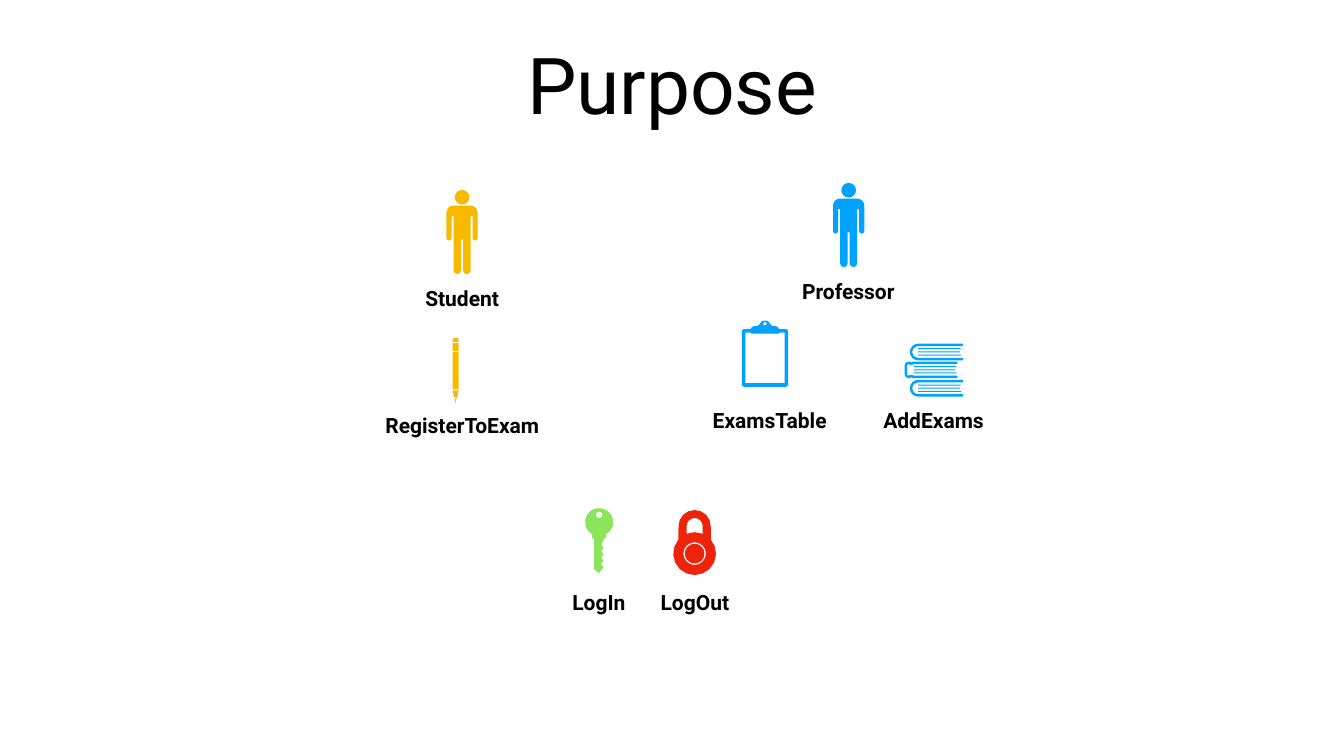
from math import cos, radians, sin

from pptx import Presentation
from pptx.dml.color import RGBColor
from pptx.enum.text import MSO_ANCHOR, PP_ALIGN
from pptx.util import Pt

BLACK = RGBColor(0x00, 0x00, 0x00)
GOLD = RGBColor(0xF7, 0xBA, 0x01)
BLUE = RGBColor(0x00, 0xA2, 0xFF)
GREEN = RGBColor(0x8B, 0xE5, 0x5B)
RED = RGBColor(0xEE, 0x23, 0x0C)


# Outline helpers: an icon is a list of loops on a grid of 0.72 pt
def arc(x, y, r, start, end):
    steps = max(2, round(abs(end - start) / (45 if r < 10 else 22.5)))
    turns = [radians(start + (end - start) * i / steps) for i in range(steps + 1)]
    return [(x + r * cos(a), y + r * sin(a)) for a in turns]


def ring(x, y, r):
    return arc(x, y, r, 0, 360)[:-1]


def box(left, top, right, low):
    return [(left, top), (right, top), (right, low), (left, low)]


def mirror(half, mid):
    return half + [(2 * mid - x, y) for x, y in reversed(half) if x != mid]


def shift(loop, dy):
    return [(x, y + dy) for x, y in loop]


# Icons
def man():
    half = [(31, 31), *arc(14, 45, 14, 270, 180), *arc(5, 95.5, 5, 180, 0),
            (10, 52), (14, 52), *arc(21.5, 159.5, 7.5, 180, 0), (29, 98)]
    return [ring(31, 14.5, 14.5), mirror(half, 31)]


def key():
    teeth = [p for y in (118, 105, 92, 79)
             for p in ((33, y + 4), (37, y), (33, y - 5))]
    blade = [(14, 60), (18, 60), (18, 122), (28, 129), *teeth,
             (33, 70), (37, 64), (37, 60), (41, 60)]
    return [arc(28, 28, 28, 421, 119) + blade, ring(28, 13.5, 6.5)]


def lock():
    x, y, r = 42.5, 86.5, 42.5
    case = arc(x, 32, 32, 180, 360) + arc(x, y, r, -41, 221)
    gap = arc(x, 32, 16, 180, 360) + arc(x, y, r, -68, -112)
    return [case, gap, ring(x, y, 22.5), ring(x, y, 19.5)]


def board():
    edge = [(46, 0), (40, 1), (37, 5), (34, 9), (30, 11), (25, 11), (20, 13),
            (18, 17), *arc(4.5, 21.5, 4.5, 270, 180), *arc(4.5, 127, 4.5, 180, 90)]
    page = [(46, 26), (18, 26), (18, 24), (7, 24), (7, 124)]
    return [mirror(edge, 46), ring(46, 6.5, 3.5), mirror(page, 46)]


def books():
    def lines(left):
        return [box(left, y, left + w, y + 2)
                for y, w in ((9, 84.5), (15.25, 83), (21.5, 85.5))]

    outer = [*arc(27, 16.5, 16.5, 270, 90), (116, 33), (116, 28),
             *arc(27, 16.5, 11.5, 90, 270), (116, 5), (116, 0)]
    mid = [(105, 0), (16, 0), (13, 2), (10, 0),
           *arc(8, 8, 8, 270, 180), *arc(8, 25, 8, 180, 90),
           (10, 33), (13, 31), (16, 33), (105, 33),
           (105, 28), (18, 28), (15, 26.5), (11, 26.5),
           *arc(8, 25, 3, 90, 180), *arc(8, 8, 3, 180, 270),
           (11, 6.5), (15, 6.5), (18, 5), (105, 5)]
    wide = [outer, *lines(27)]
    slim = [mid, *lines(18)]
    return [shift(loop, dy) for part, dy in ((wide, 0), (slim, 35.5), (wide, 72))
            for loop in part]


def pencil():
    cap = [(0, 8), *arc(3, 3, 3, 180, 270)]
    shaft = [(0, 27), (0, 102), (1.5, 101), (3, 102), (4.5, 101)]
    tip = [(6, 103), (4.5, 104.5), (3, 104.5), (1.5, 103), (0, 104), (3, 118)]
    return [mirror(cap, 6), box(0, 10, 12, 25), mirror(shaft, 6),
            mirror(tip, 6), [(4, 120), (8, 120), (6, 129)]]


class Deck:
    font = "Roboto"
    inset = Pt(4)
    fine = 100  # steps per grid unit
    scale = Pt(0.72) / fine

    def __init__(self, wide, high):
        self.prs = Presentation()
        self.prs.slide_width, self.prs.slide_height = Pt(wide), Pt(high)
        self.slide = self.prs.slides.add_slide(self.prs.slide_layouts[6])

    def text(self, words, x, y, w, h, size, bold=False, wrap=False):
        frame = self.slide.shapes.add_textbox(Pt(x), Pt(y), Pt(w), Pt(h)).text_frame
        frame.word_wrap = wrap
        frame.vertical_anchor = MSO_ANCHOR.MIDDLE
        frame.margin_left = frame.margin_right = self.inset
        frame.margin_top = frame.margin_bottom = self.inset
        para = frame.paragraphs[0]
        para.alignment = PP_ALIGN.CENTER
        run = para.add_run()
        run.text = words
        run.font.name, run.font.size, run.font.bold = self.font, Pt(size), bold
        run.font.color.rgb = BLACK

    def icon(self, loops, x, y, color):
        loops = [[(a * self.fine, b * self.fine) for a, b in loop] for loop in loops]
        pen = self.slide.shapes.build_freeform(*loops[0][0], scale=self.scale)
        pen.add_line_segments(loops[0][1:], close=True)
        for loop in loops[1:]:
            pen.move_to(*loop[0])
            pen.add_line_segments(loop[1:], close=True)
        shape = pen.convert_to_shape(Pt(x), Pt(y))
        shape.shadow.inherit = False
        shape.fill.solid()
        shape.fill.fore_color.rgb = color
        shape.line.fill.background()

    def save(self):
        self.prs.save("out.pptx")


def main():
    deck = Deck(1920.24, 1080)

    # Title
    deck.text("Purpose", 133.2, 28.1, 1653.8, 180, 112, wrap=True)

    # Roles and actions: icon, its corner, colour, label, its corner and width
    items = [
        (man, 637.9, 271.4, GOLD, "Student", 599.8, 404.6, 121),
        (man, 1190.2, 261.4, BLUE, "Professor", 1121, 394.6, 182.2),
        (key, 835.9, 725.8, GREEN, "LogIn", 810.7, 838.1, 90),
        (lock, 961.9, 728.6, RED, "LogOut", 935.3, 838.1, 115.2),
        (board, 1059.8, 457.9, BLUE, "ExamsTable", 1009.4, 578.2, 180.7),
        (books, 1292.4, 491, BLUE, "AddExams", 1252.8, 578.2, 162),
        (pencil, 646.6, 483.1, GOLD, "RegisterToExam", 539.3, 585.4, 242.6),
    ]
    for draw, x, y, color, label, left, top, wide in items:
        deck.icon(draw(), x, y, color)
        deck.text(label, left, top, wide, 43.9, 30, bold=True)

    deck.save()


if __name__ == "__main__":
    main()
